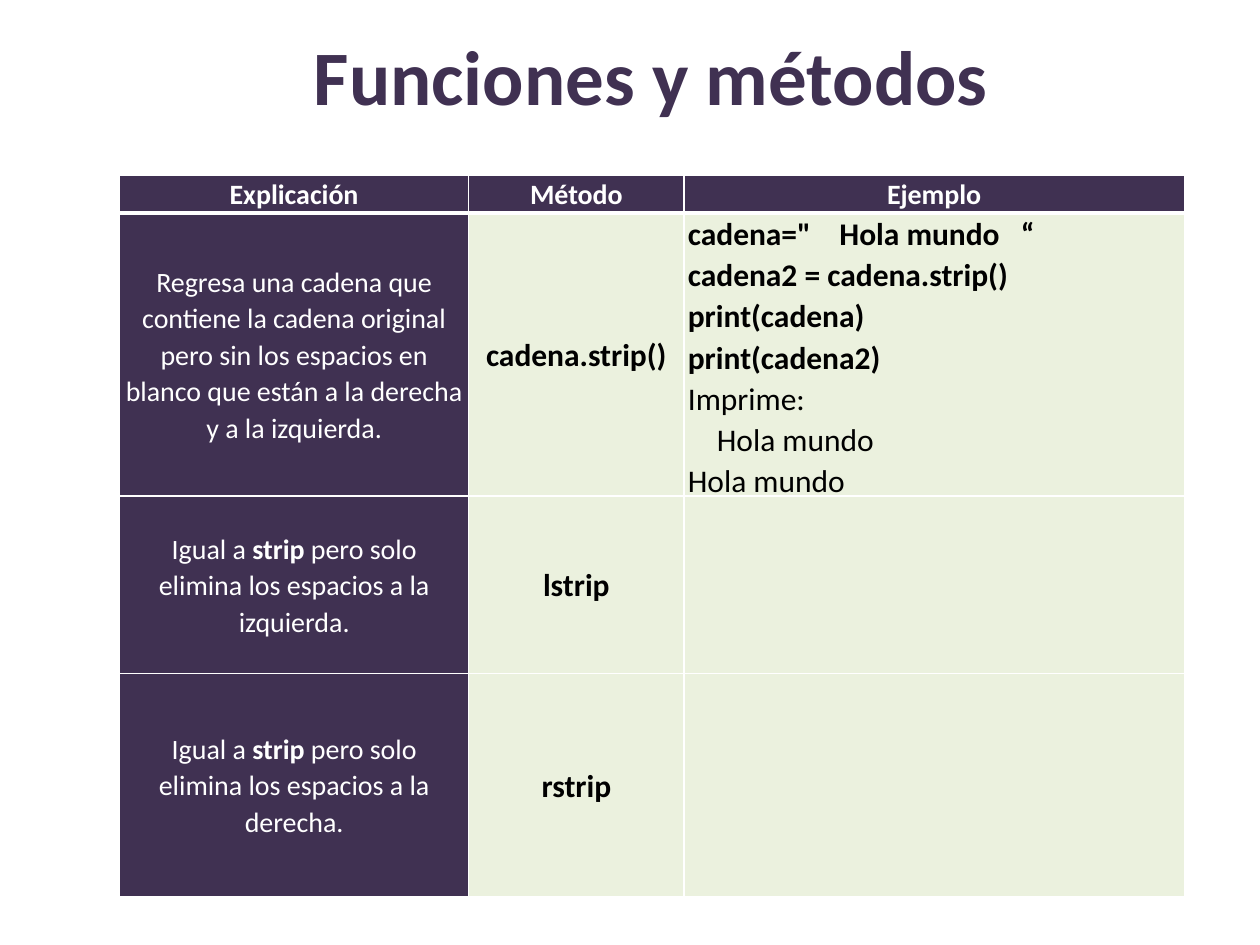
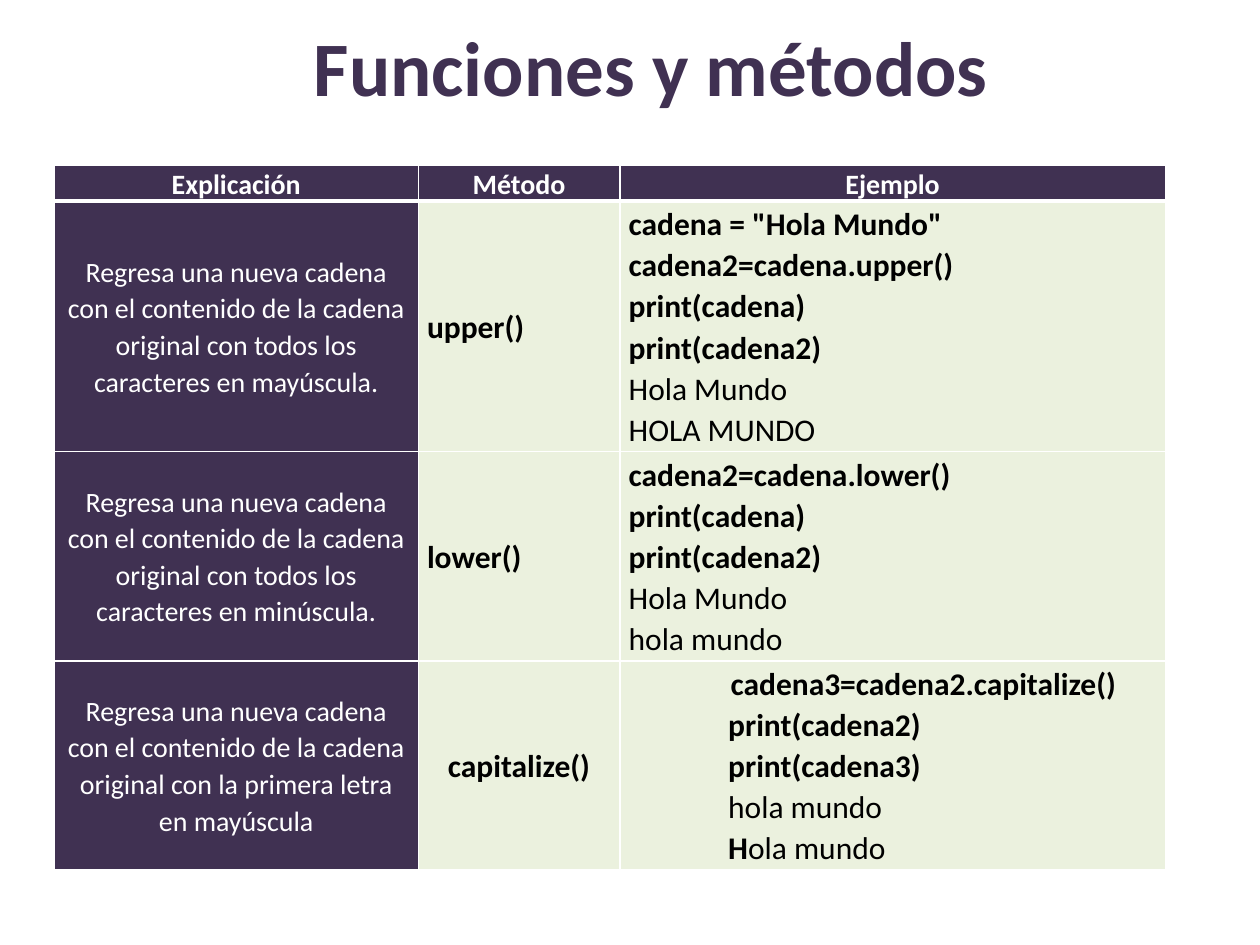
from collections import namedtuple

from lxml import etree
from pptx import Presentation
from pptx.dml.color import RGBColor
from pptx.enum.text import MSO_ANCHOR as Anchor, PP_ALIGN as Align
from pptx.oxml.ns import qn
from pptx.util import Inches, Pt

FONT = "Calibri"
PURPLE, GREEN, WHITE, BLACK = "403152", "EBF1DE", "FFFFFF", "000000"
HEADINGS = ["Explicación", "Método", "Ejemplo"]
NARROW, WIDE = 0.03, 0.07

Line = namedtuple("Line", "text bold indent", defaults=[False, 0])
Method = namedtuple("Method", "explanation name example inset align",
                    defaults=[WIDE, Align.CENTER])

STRIP_METHODS = [
    Method("Regresa una cadena que contiene la cadena original pero sin los espacios "
           "en blanco que están a la derecha y a la izquierda.",
           "cadena.strip()",
           [Line('cadena="    Hola mundo   “', True),
            Line("cadena2 = cadena.strip()", True),
            Line("print(cadena)", True),
            Line("print(cadena2)", True),
            Line("Imprime:"),
            Line("Hola mundo", indent=0.23),
            Line("Hola mundo")],
           inset=NARROW),
    Method("Igual a **strip **pero solo elimina los espacios a la izquierda.", "lstrip", []),
    Method("Igual a **strip** pero solo elimina los espacios a la derecha.", "rstrip", []),
]

CASE_RESULT = ("Regresa una nueva cadena con el contenido de la cadena original "
               "con {}")
CASE_METHODS = [
    Method(CASE_RESULT.format("todos los caracteres en mayúscula."), "upper()",
           [Line('cadena = "Hola Mundo"', True),
            Line("cadena2=cadena.upper()", True),
            Line("print(cadena)", True),
            Line("print(cadena2)", True),
            Line("Hola Mundo"),
            Line("HOLA MUNDO")],
           align=Align.LEFT),
    Method(CASE_RESULT.format("todos los caracteres en minúscula."), "lower()",
           [Line("cadena2=cadena.lower()", True),
            Line("print(cadena)", True),
            Line("print(cadena2)", True),
            Line("Hola Mundo"),
            Line("hola mundo")],
           align=Align.LEFT),
    Method(CASE_RESULT.format("la primera letra en mayúscula"), "capitalize()",
           [Line("cadena3=cadena2.capitalize()", True, 0.81),
            Line("print(cadena2)", True, 0.79),
            Line("print(cadena3)", True, 0.79),
            Line("hola mundo", indent=0.79),
            Line("**H**ola mundo", indent=0.79)]),
]


def color(hex_code):
    """Return the colour for a hex string."""
    return RGBColor.from_string(hex_code)


def set_font(paragraph, size, hex_code, bold):
    """Set the font that a whole paragraph shares."""
    font = paragraph.font
    font.name, font.size, font.bold = FONT, Pt(size), bold
    font.color.rgb = color(hex_code)


def add_title(slide, top):
    """Add the shared slide title at the given height."""
    box = slide.shapes.add_textbox(Inches(1.17), Inches(top), Inches(8), Inches(1.25))
    frame = box.text_frame
    frame.word_wrap = True
    frame.vertical_anchor = Anchor.MIDDLE
    paragraph = frame.paragraphs[0]
    paragraph.text = "Funciones y métodos"
    paragraph.alignment = Align.CENTER
    set_font(paragraph, 44, PURPLE, True)


def set_borders(cell, top=1, bottom=1):
    """Draw white borders with the given widths in points."""
    properties = cell._tc.get_or_add_tcPr()
    for side, width in (("L", 1), ("R", 1), ("T", top), ("B", bottom)):
        border = etree.SubElement(properties, qn(f"a:ln{side}"), w=str(Pt(width)))
        fill = etree.SubElement(border, qn("a:solidFill"))
        etree.SubElement(fill, qn("a:srgbClr"), val=WHITE)


def write_line(paragraph, line, size, hex_code, align):
    """Write one line, with bold toggled by double asterisks."""
    paragraph.alignment = align
    paragraph.line_spacing = 1.07
    if line.indent:
        paragraph._p.get_or_add_pPr().set("marL", str(Inches(line.indent)))
    set_font(paragraph, size, hex_code, line.bold)
    for position, text in enumerate(line.text.split("**")):
        if text:
            run = paragraph.add_run()
            run.text = text
            if position % 2:
                run.font.bold = True


def fill_cell(cell, lines, fill, size, hex_code, align, inset):
    """Fill a cell with colour and lines of text."""
    cell.fill.solid()
    cell.fill.fore_color.rgb = color(fill)
    cell.vertical_anchor = Anchor.MIDDLE
    cell.margin_left = cell.margin_right = Inches(inset)
    cell.margin_top = cell.margin_bottom = 0
    frame = cell.text_frame
    for index, line in enumerate(lines):
        paragraph = frame.add_paragraph() if index else frame.paragraphs[0]
        write_line(paragraph, line, size, hex_code, align)


def add_method_table(slide, left, top, widths, heights, methods):
    """Add a table that explains one method in each row."""
    table = slide.shapes.add_table(
        len(heights), len(widths), Inches(left), Inches(top),
        Inches(sum(widths)), Inches(sum(heights))).table
    table.first_row = table.horz_banding = False
    for column, width in zip(table.columns, widths):
        column.width = Inches(width)
    for row, height in zip(table.rows, heights):
        row.height = Inches(height)
    for index, row in enumerate(table.rows):
        for cell in row.cells:
            set_borders(cell, 3 if index == 1 else 1, 3 if index == 0 else 1)

    for cell, heading in zip(table.rows[0].cells, HEADINGS):
        fill_cell(cell, [Line(heading, True)], PURPLE, 16, WHITE, Align.CENTER, NARROW)
        cell.vertical_anchor = Anchor.TOP
    for index, method in enumerate(methods, 1):
        explanation, name, example = table.rows[index].cells
        fill_cell(explanation, [Line(method.explanation)], PURPLE, 16, WHITE,
                  Align.CENTER, method.inset)
        fill_cell(name, [Line(method.name, True)], GREEN, 18, BLACK,
                  method.align, method.inset)
        fill_cell(example, method.example, GREEN, 18, BLACK, Align.LEFT, method.inset)


def add_slide(presentation, title_top, **table):
    """Add a slide with the title and a table of methods."""
    slide = presentation.slides.add_slide(presentation.slide_layouts[6])
    add_title(slide, title_top)
    add_method_table(slide, **table)


def main():
    """Build and save the presentation."""
    presentation = Presentation()
    presentation.slide_width, presentation.slide_height = Inches(10), Inches(7.5)
    add_slide(presentation, -0.03, left=0.95, top=1.39, widths=[2.77, 1.71, 3.97],
              heights=[0.3, 2.12, 1.41, 1.77], methods=STRIP_METHODS)
    add_slide(presentation, -0.1, left=0.43, top=1.31, widths=[2.89, 1.6, 4.33],
              heights=[0.28, 1.99, 1.66, 1.66], methods=CASE_METHODS)
    presentation.save("out.pptx")


if __name__ == "__main__":
    main()
